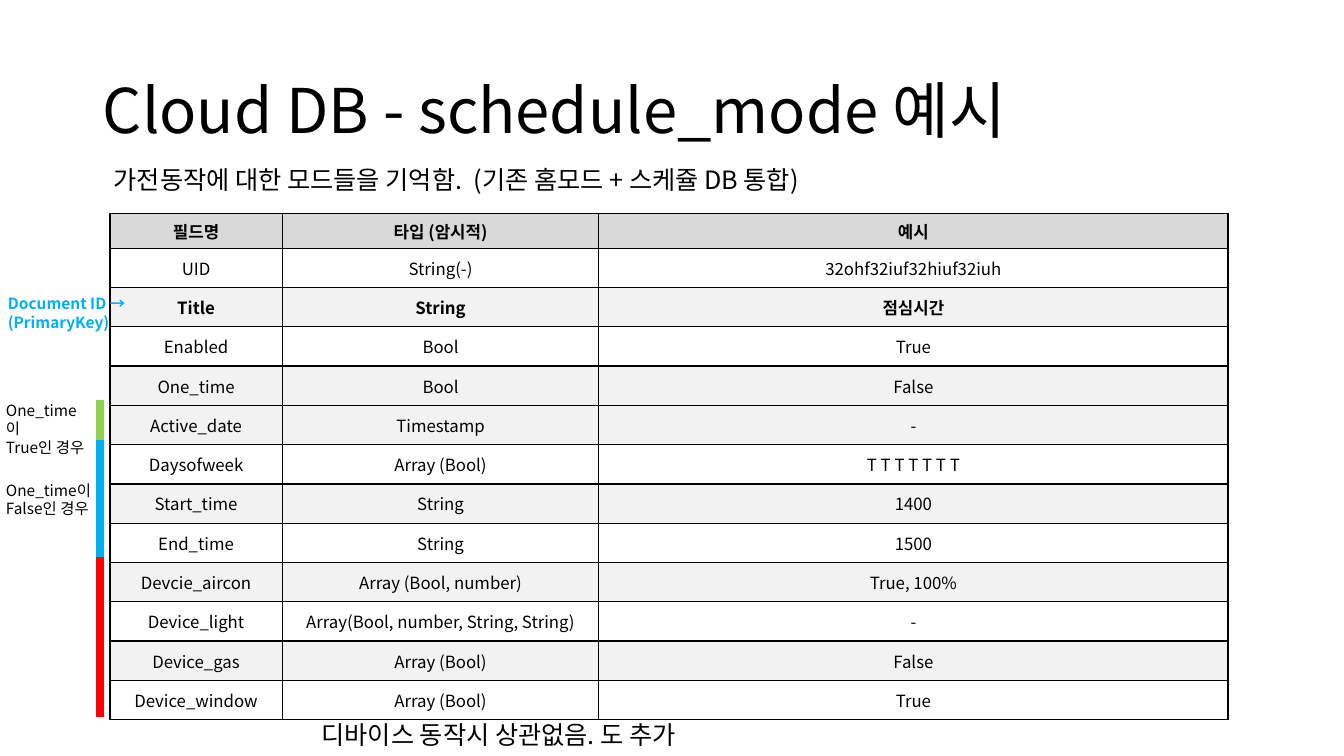
from lxml.etree import SubElement
from pptx import Presentation
from pptx.dml.color import RGBColor
from pptx.enum.shapes import MSO_CONNECTOR
from pptx.enum.text import MSO_ANCHOR, MSO_AUTO_SIZE, PP_ALIGN
from pptx.oxml.ns import qn
from pptx.util import Inches, Pt

BLACK = RGBColor(0x00, 0x00, 0x00)
HEADER_GRAY = RGBColor(0xD9, 0xD9, 0xD9)
BAND_GRAY = RGBColor(0xF2, 0xF2, 0xF2)
RED = RGBColor(0xFF, 0x00, 0x00)
BLUE = RGBColor(0x00, 0xB0, 0xF0)
GREEN = RGBColor(0x92, 0xD0, 0x50)

COLUMN_WIDTHS = (1.71, 3.14, 6.24)
HEADER_HEIGHT = 0.31
ROW_HEIGHT = 0.39
FIELDS = [
    ("필드명", "타입 (암시적)", "예시"),
    ("UID", "String(-)", "32ohf32iuf32hiuf32iuh"),
    ("Title", "String", "점심시간"),
    ("Enabled", "Bool", "True"),
    ("One_time", "Bool", "False"),
    ("Active_date", "Timestamp", "-"),
    ("Daysofweek", "Array (Bool)", "T T T T T T T"),
    ("Start_time", "String", "1400"),
    ("End_time", "String", "1500"),
    ("Devcie_aircon", "Array (Bool, number)", "True, 100%"),
    ("Device_light", "Array(Bool, number, String, String)", "-"),
    ("Device_gas", "Array (Bool)", "False"),
    ("Device_window", "Array (Bool)", "True"),
]
BOLD_FIELDS = ("필드명", "Title")
BANDED_FIELDS = ("Title", "One_time", "Active_date", "Start_time", "Devcie_aircon", "Device_gas")


class SlideBuilder:
    """Holds the text style and the current slide."""

    font_name = "Noto Sans CJK KR"

    def __init__(self, presentation):
        """Add a slide that has only a title."""
        self.slide = presentation.slides.add_slide(presentation.slide_layouts[5])

    def add_run(self, paragraph, text, size, color=BLACK, bold=False):
        """Add one styled run to a paragraph."""
        run = paragraph.add_run()
        run.text = text
        run.font.size = Pt(size)
        run.font.bold = bold
        run.font.color.rgb = color
        run.font.name = self.font_name
        SubElement(run.font._element, qn("a:ea"), typeface=self.font_name)

    def title(self, text, left, top, width, height):
        """Place and fill the title placeholder."""
        shape = self.slide.shapes.title
        shape.left, shape.top = Inches(left), Inches(top)
        shape.width, shape.height = Inches(width), Inches(height)
        frame = shape.text_frame
        frame.auto_size = MSO_AUTO_SIZE.NONE
        frame.vertical_anchor = MSO_ANCHOR.MIDDLE
        paragraph = frame.paragraphs[0]
        paragraph.alignment = PP_ALIGN.LEFT
        paragraph.line_spacing = 0.9
        self.add_run(paragraph, text, 44)

    def text(self, lines, left, top, width, height, size, color=BLACK, bold=False, wrap=False):
        """Add a text box with one paragraph per line."""
        shape = self.slide.shapes.add_textbox(Inches(left), Inches(top), Inches(width), Inches(height))
        frame = shape.text_frame
        frame.word_wrap = wrap
        frame.auto_size = MSO_AUTO_SIZE.SHAPE_TO_FIT_TEXT
        for index, line in enumerate(lines):
            paragraph = frame.add_paragraph() if index else frame.paragraphs[0]
            self.add_run(paragraph, line, size, color, bold)

    def border(self, cell):
        """Draw a thin black border on every side of a cell."""
        properties = cell._tc.get_or_add_tcPr()
        for side in ("a:lnL", "a:lnR", "a:lnT", "a:lnB"):
            line = SubElement(properties, qn(side), w=str(Pt(1)))
            fill = SubElement(line, qn("a:solidFill"))
            SubElement(fill, qn("a:srgbClr"), val=str(BLACK))

    def table(self, rows, left, top):
        """Add the field table."""
        height = HEADER_HEIGHT + ROW_HEIGHT * (len(rows) - 1)
        table = self.slide.shapes.add_table(
            len(rows), len(COLUMN_WIDTHS), Inches(left), Inches(top),
            Inches(sum(COLUMN_WIDTHS)), Inches(height)).table
        table.horz_banding = False
        for column, width in zip(table.columns, COLUMN_WIDTHS):
            column.width = Inches(width)
        for index, values in enumerate(rows):
            table.rows[index].height = Inches(ROW_HEIGHT if index else HEADER_HEIGHT)
            for cell, value in zip(table.rows[index].cells, values):
                self.border(cell)
                if index == 0 or values[0] in BANDED_FIELDS:
                    cell.fill.solid()
                    cell.fill.fore_color.rgb = BAND_GRAY if index else HEADER_GRAY
                else:
                    cell.fill.background()
                cell.vertical_anchor = MSO_ANCHOR.MIDDLE
                paragraph = cell.text_frame.paragraphs[0]
                paragraph.alignment = PP_ALIGN.CENTER
                self.add_run(paragraph, value, 12, bold=values[0] in BOLD_FIELDS)

    def bar(self, x, top, bottom, color):
        """Add a thick vertical line marking a group of rows."""
        connector = self.slide.shapes.add_connector(
            MSO_CONNECTOR.STRAIGHT, Inches(x), Inches(top), Inches(x), Inches(bottom))
        connector.line.color.rgb = color
        connector.line.width = Pt(6)
        SubElement(connector._element.spPr, qn("a:effectLst"))


def main():
    """Build and save the slide."""
    presentation = Presentation()
    presentation.slide_width = Inches(13.33)
    presentation.slide_height = Inches(7.5)
    builder = SlideBuilder(presentation)
    builder.title("Cloud DB - schedule_mode 예시", 0.92, 0.4, 11.5, 1.45)
    builder.table(FIELDS, 1.09, 2.12)
    builder.text(["가전동작에 대한 모드들을 기억함.  (기존 홈모드 + 스케쥴 DB 통합)"],
                 1.03, 1.58, 7.87, 0.4, 18)
    builder.text(["Document ID →", "(PrimaryKey)"], -0.02, 2.87, 1.39, 0.47, 11, BLUE, bold=True)
    builder.text(["디바이스 동작시 상관없음. 도 추가"], 3.09, 7.09, 4.15, 0.4, 18)
    for top, bottom, color in ((5.53, 7.11, RED), (4.37, 5.53, BLUE), (3.97, 4.37, GREEN)):
        builder.bar(0.99, top, bottom, color)
    for value, top, width in (("True", 3.93, 1.03), ("False", 4.72, 1.06)):
        builder.text(["One_time이", f"{value}인 경우"], -0.04, top, width, 0.47, 11, wrap=True)
    presentation.save("out.pptx")


if __name__ == "__main__":
    main()
